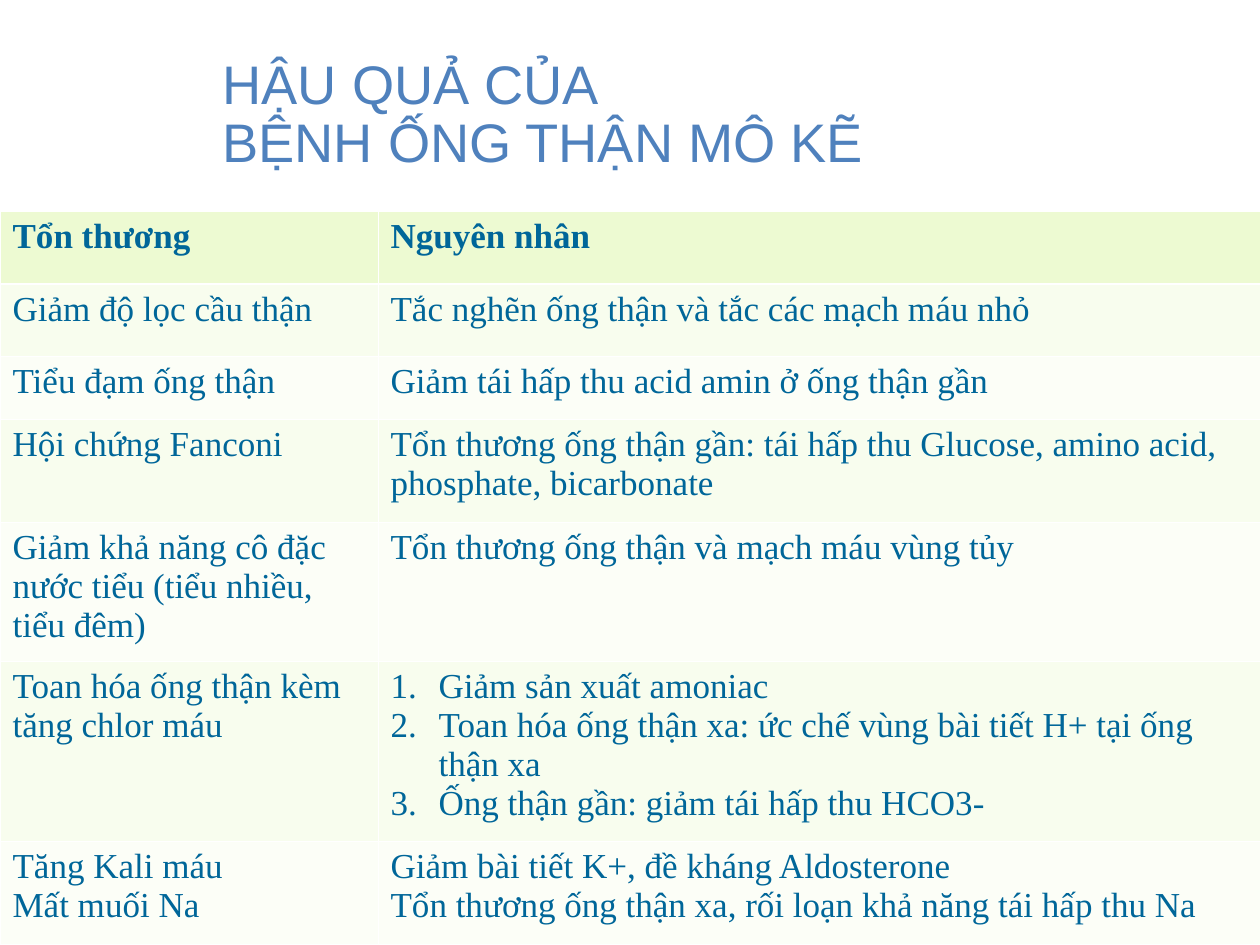
from copy import deepcopy
from dataclasses import dataclass

from lxml.etree import SubElement
from pptx import Presentation
from pptx.dml.color import RGBColor
from pptx.enum.text import MSO_ANCHOR, MSO_AUTO_SIZE, PP_ALIGN
from pptx.oxml.ns import qn
from pptx.util import Emu, Pt

PX_PER_INCH = 126


@dataclass(frozen=True)
class Theme:
    title: str = "4F81BD"
    text: str = "006699"
    border: str = "FFFFFF"
    header_fill: str = "EDFAD2"
    band_fills: tuple[str, str] = ("FCFEF7", "F8FDEE")
    title_font: str = "Arial"
    table_font: str = "Times New Roman"
    title_size: int = 31
    table_size: int = 20
    thin_line: float = 0.45
    header_line: float = 1.47


@dataclass(frozen=True)
class Row:
    height: int
    damage: tuple[str, ...]
    causes: tuple[str, ...]
    numbered: bool = False


THEME = Theme()
COLUMN_WIDTHS = (378, 882)
ROWS = (
    Row(73, ("Tổn thương",), ("Nguyên nhân",)),
    Row(72, ("Giảm độ lọc cầu thận",), ("Tắc nghẽn ống thận và tắc các mạch máu nhỏ",)),
    Row(63, ("Tiểu đạm ống thận",), ("Giảm tái hấp thu acid amin ở ống thận gần",)),
    Row(103, ("Hội chứng Fanconi",),
        ("Tổn thương ống thận gần: tái hấp thu Glucose, amino acid, phosphate, bicarbonate",)),
    Row(139, ("Giảm khả năng cô đặc nước tiểu (tiểu nhiều, tiểu đêm)",),
        ("Tổn thương ống thận và mạch máu vùng tủy",)),
    Row(180, ("Toan hóa ống thận kèm tăng chlor máu",),
        ("Giảm sản xuất amoniac",
         "Toan hóa ống thận xa: ức chế vùng bài tiết H+ tại ống thận xa",
         "Ống thận gần: giảm tái hấp thu HCO3-"), numbered=True),
    Row(103, ("Tăng Kali máu", "Mất muối Na"),
        ("Giảm bài tiết K+, đề kháng Aldosterone",
         "Tổn thương ống thận xa, rối loạn khả năng tái hấp thu Na")),
)


def px(value: int) -> Emu:
    return Emu(round(value * 914400 / PX_PER_INCH))


def add_number(paragraph) -> None:
    properties = paragraph._p.get_or_add_pPr()
    properties.set("marL", str(px(48)))
    properties.set("indent", str(px(-48)))
    color = SubElement(properties, qn("a:buClr"))
    SubElement(color, qn("a:srgbClr"), val=THEME.text)
    SubElement(properties, qn("a:buFont"), typeface="+mj-lt")
    SubElement(properties, qn("a:buAutoNum"), type="arabicPeriod")


def write_text(text_frame, lines: tuple[str, ...], *, font: str, size: int, color: str,
               bold: bool = False, numbered: bool = False,
               line_spacing: float | None = None) -> None:
    """Write one paragraph per line; a vertical tab breaks a line inside it."""
    for index, line in enumerate(lines):
        paragraph = text_frame.add_paragraph() if index else text_frame.paragraphs[0]
        paragraph.text = line
        paragraph.alignment = PP_ALIGN.LEFT
        if line_spacing:
            paragraph.line_spacing = line_spacing
        if numbered:
            add_number(paragraph)
        for run in paragraph.runs:
            run.font.name = font
            run.font.size = Pt(size)
            run.font.bold = bold
            run.font.color.rgb = RGBColor.from_string(color)
        for line_break in paragraph._p.findall(qn("a:br")):
            line_break.append(deepcopy(paragraph.runs[0]._r.rPr))


def set_borders(cell, top: float, bottom: float) -> None:
    properties = cell._tc.get_or_add_tcPr()
    widths = {"lnL": THEME.thin_line, "lnR": THEME.thin_line, "lnT": top, "lnB": bottom}
    for tag, width in widths.items():
        line = SubElement(properties, qn(f"a:{tag}"), w=str(Pt(width)))
        fill = SubElement(line, qn("a:solidFill"))
        SubElement(fill, qn("a:srgbClr"), val=THEME.border)


def format_title(title) -> None:
    title.left, title.top, title.width, title.height = map(px, (210, 84, 766, 97))
    frame = title.text_frame
    frame.auto_size = MSO_AUTO_SIZE.NONE
    frame.word_wrap = True
    frame.vertical_anchor = MSO_ANCHOR.BOTTOM
    write_text(frame, ("HẬU QUẢ CỦA \vBỆNH ỐNG THẬN MÔ KẼ",), font=THEME.title_font,
               size=THEME.title_size, color=THEME.title, line_spacing=0.9)


def add_damage_table(slide) -> None:
    height = sum(row.height for row in ROWS)
    table = slide.shapes.add_table(len(ROWS), len(COLUMN_WIDTHS), px(0), px(211),
                                   px(sum(COLUMN_WIDTHS)), px(height)).table
    table.first_row = table.horz_banding = False
    for column, width in zip(table.columns, COLUMN_WIDTHS):
        column.width = px(width)
    for index, row in enumerate(ROWS):
        table.rows[index].height = px(row.height)
        header = index == 0
        fill = THEME.header_fill if header else THEME.band_fills[index % 2]
        for column, lines in enumerate((row.damage, row.causes)):
            cell = table.cell(index, column)
            set_borders(cell, top=THEME.header_line if index == 1 else THEME.thin_line,
                        bottom=THEME.header_line if header else THEME.thin_line)
            cell.fill.solid()
            cell.fill.fore_color.rgb = RGBColor.from_string(fill)
            write_text(cell.text_frame, lines, font=THEME.table_font, size=THEME.table_size,
                       color=THEME.text, bold=header, numbered=row.numbered and column == 1)


def main() -> None:
    presentation = Presentation()
    presentation.slide_width, presentation.slide_height = px(1260), px(945)
    slide = presentation.slides.add_slide(presentation.slide_layouts[5])
    format_title(slide.shapes.title)
    add_damage_table(slide)
    presentation.save("out.pptx")


if __name__ == "__main__":
    main()
